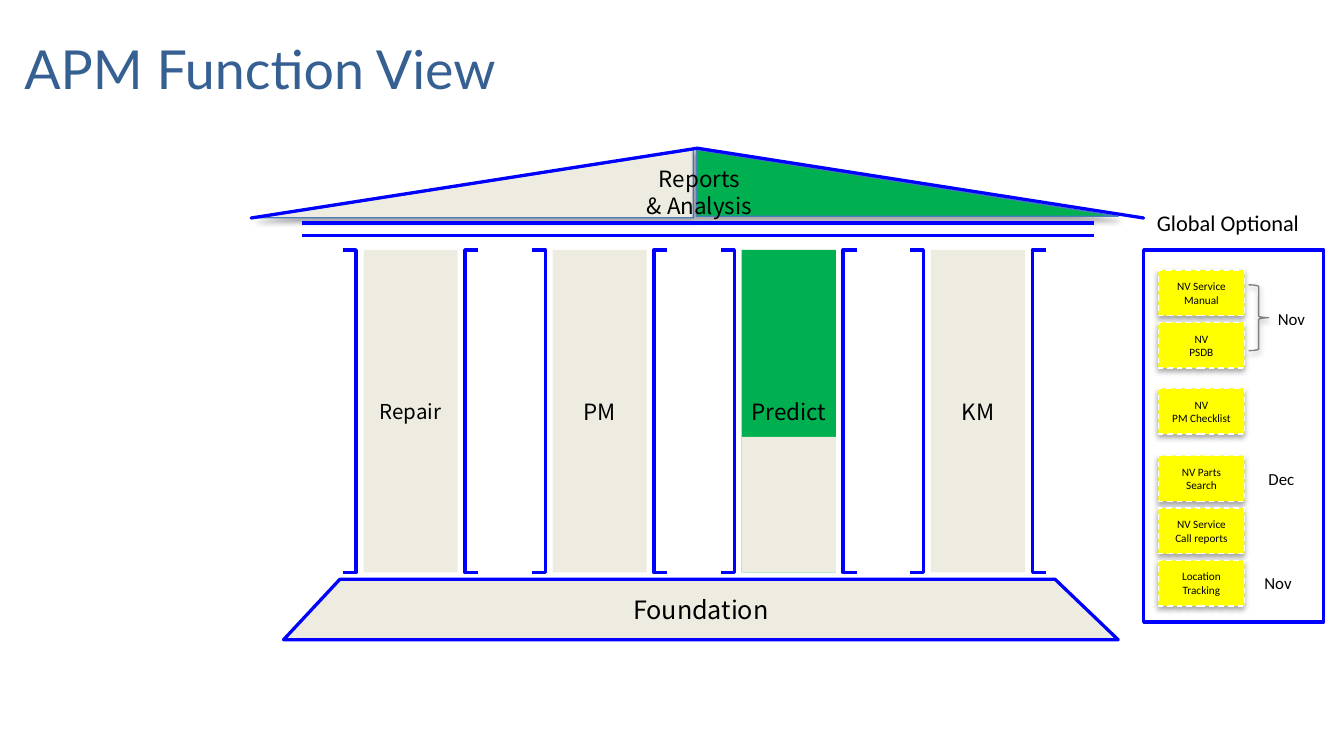
from lxml import etree
from pptx import Presentation
from pptx.dml.color import RGBColor
from pptx.enum.dml import MSO_LINE
from pptx.enum.shapes import MSO_CONNECTOR, MSO_SHAPE
from pptx.enum.text import MSO_ANCHOR, PP_ALIGN
from pptx.oxml.ns import qn
from pptx.util import Pt

RECTANGLE = MSO_SHAPE.RECTANGLE
TRIANGLE = MSO_SHAPE.RIGHT_TRIANGLE
CHEVRON = MSO_SHAPE.CHEVRON
LEFT_BRACKET = MSO_SHAPE.LEFT_BRACKET
RIGHT_BRACKET = MSO_SHAPE.RIGHT_BRACKET
RIGHT_BRACE = MSO_SHAPE.RIGHT_BRACE
STRAIGHT = MSO_CONNECTOR.STRAIGHT
DASH = MSO_LINE.DASH
MIDDLE, TOP = MSO_ANCHOR.MIDDLE, MSO_ANCHOR.TOP
LEFT, CENTER = PP_ALIGN.LEFT, PP_ALIGN.CENTER

COLORS = {
    "title": "376092", "stone": "EEECE1", "done": "00B050", "frame": "0000FF",
    "edge": "4B7EBC", "card": "FFFF00", "card_edge": "FFFFFF",
    "brace": "7F7F7F", "text": "000000", "shadow": "000000",
}
TEMPLE_FONT, PANEL_FONT = "Noto Sans CJK SC", "Calibri"
FRAME_WIDTH, THIN_WIDTH = 1.75, 0.75

PILLARS = [("Repair", 11, 0), ("PM", 12, 0), ("Predict", 12, 0.58), ("KM", 12, 0)]
CARDS = [
    ("NV Service Manual", 10.8), ("NV\nPSDB", 38.9), ("NV\nPM Checklist", 74.2),
    ("NV Parts Search", 110.2), ("NV Service Call reports", 138.3),
    ("Location Tracking", 166.3),
]
MONTHS = [("Nov", 64.8, 28.1), ("Dec", 59.8, 113.8), ("Nov", 57.6, 169.2)]


def color(name):
    """Return the named colour."""
    return RGBColor.from_string(COLORS[name])


def box(left, top, width, height):
    """Return four lengths given in points."""
    return Pt(left), Pt(top), Pt(width), Pt(height)


def add_shadow(shape):
    """Give a shape a soft shadow straight below it."""
    effects = shape.element.spPr.find(qn("a:effectLst"))
    shadow = etree.SubElement(effects, qn("a:outerShdw"), blurRad=str(Pt(3.1)),
                              dist=str(Pt(1.8)), dir="5400000", rotWithShape="0")
    tint = etree.SubElement(shadow, qn("a:srgbClr"), val=COLORS["shadow"])
    etree.SubElement(tint, qn("a:alpha"), val="35000")


def style(shape, fill=None, line=None, width=FRAME_WIDTH, shadow=False):
    """Set fill, outline and shadow of a shape."""
    shape.shadow.inherit = False
    if shadow:
        add_shadow(shape)
    if fill:
        shape.fill.solid()
        shape.fill.fore_color.rgb = color(fill)
    else:
        shape.fill.background()
    if line:
        shape.line.color.rgb = color(line)
        shape.line.width = Pt(width)
    else:
        shape.line.fill.background()


def add_shape(slide, kind, area, **look):
    """Add a styled preset shape in an area."""
    shape = slide.shapes.add_shape(kind, *box(*area))
    style(shape, **look)
    return shape


def write(shape, text, size, font=TEMPLE_FONT, ink="text", align=CENTER,
          anchor=MIDDLE, margins=(0, 0), wrap=True):
    """Write formatted text into a shape."""
    frame = shape.text_frame
    frame.text = text
    side, end = map(Pt, margins)
    frame_format = {"word_wrap": wrap, "vertical_anchor": anchor,
                    "margin_left": side, "margin_right": side,
                    "margin_top": end, "margin_bottom": end}
    for name, value in frame_format.items():
        setattr(frame, name, value)
    for paragraph in frame.paragraphs:
        paragraph.alignment = align
        for name, value in {"name": font, "size": Pt(size)}.items():
            setattr(paragraph.font, name, value)
        paragraph.font.color.rgb = color(ink)


def add_label(slide, area, text, size, **text_format):
    """Add a text box."""
    write(slide.shapes.add_textbox(*box(*area)), text, size, **text_format)


def add_title(slide, area, text):
    """Place and fill the title placeholder."""
    title = slide.shapes.title
    title.left, title.top, title.width, title.height = box(*area)
    write(title, text, 28.8, font="Lato", ink="title", align=LEFT, margins=(7.2, 3.6))


def add_roof(slide, left, top, width, height):
    """Draw the two gable halves, the roof line and the beams."""
    gable = {"line": "edge", "width": THIN_WIDTH, "shadow": True}
    left_half = add_shape(slide, TRIANGLE, (left + 2.9, top + 0.8, 234, 36.5),
                          fill="stone", **gable)
    left_half.element.spPr.find(qn("a:xfrm")).set("flipH", "1")
    add_shape(slide, TRIANGLE, (left + 238.4, top + 0.8, 226, 35.7), fill="done", **gable)
    middle_x, middle_y = left + width / 2, top + height / 2
    ridge = add_shape(slide, CHEVRON,
                      (middle_x - height / 2, middle_y - width / 2, height, width),
                      line="frame")
    ridge.adjustments[0] = 1
    ridge.rotation = 270
    for beam_top in (top + 40.1, top + 46.6):
        beam = slide.shapes.add_connector(STRAIGHT, Pt(left + 27.4), Pt(beam_top),
                                          Pt(left + 451.5), Pt(beam_top))
        beam.line.color.rgb = color("frame")
        beam.line.width = Pt(FRAME_WIDTH)
        etree.SubElement(beam.element.spPr, qn("a:effectLst"))


def add_pillar(slide, left, top, width, height, text, size, done):
    """Draw a bracketed pillar whose top part may be marked as done."""
    for kind, bracket_left in ((RIGHT_BRACKET, left), (LEFT_BRACKET, left + width - 7.2)):
        bracket = add_shape(slide, kind, (bracket_left, top, 7.2, height), line="frame")
        bracket.adjustments[0] = 0
    shaft_left, shaft_width = left + 11.2, 50.4
    shaft = add_shape(slide, RECTANGLE, (shaft_left, top, shaft_width, height),
                      fill="done" if done else "stone")
    write(shaft, text, size, wrap=False)
    if done:
        add_shape(slide, RECTANGLE, (shaft_left, top + height * done, shaft_width,
                                     height * (1 - done)), fill="stone")


def add_foundation(slide, left, top, width, height):
    """Draw the sloping base."""
    right, bottom = left + width, top + height
    builder = slide.shapes.build_freeform(Pt(left + 30.2), Pt(top))
    builder.add_line_segments([(Pt(left), Pt(bottom)), (Pt(right), Pt(bottom)),
                               (Pt(right - 33.8), Pt(top))], close=True)
    base = builder.convert_to_shape()
    style(base, fill="stone", line="frame")
    write(base, "Foundation", 13.5)


def add_options(slide, left, top, width, height):
    """Draw the panel of optional parts with their months."""
    for text, offset in CARDS:
        card = add_shape(slide, RECTANGLE, (left + 7.9, top + offset, 46.1, 24.5),
                         fill="card", line="card_edge", width=THIN_WIDTH, shadow=True)
        card.line.dash_style = DASH
        write(card, text, 6, font=PANEL_FONT, margins=(7.2, 3.6))
    add_shape(slide, RECTANGLE, (left, top, width, height), line="frame")
    add_shape(slide, RIGHT_BRACE, (left + 56.2, top + 18.7, 10.8, 35.3),
              line="brace", width=THIN_WIDTH, shadow=True)
    label_format = {"font": PANEL_FONT, "align": LEFT, "anchor": TOP, "margins": (7.2, 3.6)}
    add_label(slide, (left, top - 25.2, width, 21.6), "Global Optional", 12, **label_format)
    for text, across, down in MONTHS:
        add_label(slide, (left + across, top + down, 36, 18), text, 9, **label_format)


def main():
    """Build the slide and save it."""
    presentation = Presentation()
    presentation.slide_width, presentation.slide_height = Pt(720), Pt(405)
    slide = presentation.slides.add_slide(presentation.slide_layouts[5])
    add_title(slide, (5.8, 15.1, 657.4, 42.5), "APM Function View")
    add_roof(slide, 134.6, 79.4, 478.1, 37.4)
    for index, pillar in enumerate(PILLARS):
        add_pillar(slide, 183.6 + 101.3 * index, 133.9, 72.7, 172.8, *pillar)
    add_foundation(slide, 151.9, 310.3, 447.1, 32.4)
    add_label(slide, (308.9, 88.6, 131.8, 28.8), "Reports\n& Analysis", 12)
    add_options(slide, 612.7, 133.9, 96.5, 199.4)
    presentation.save("out.pptx")


if __name__ == "__main__":
    main()
